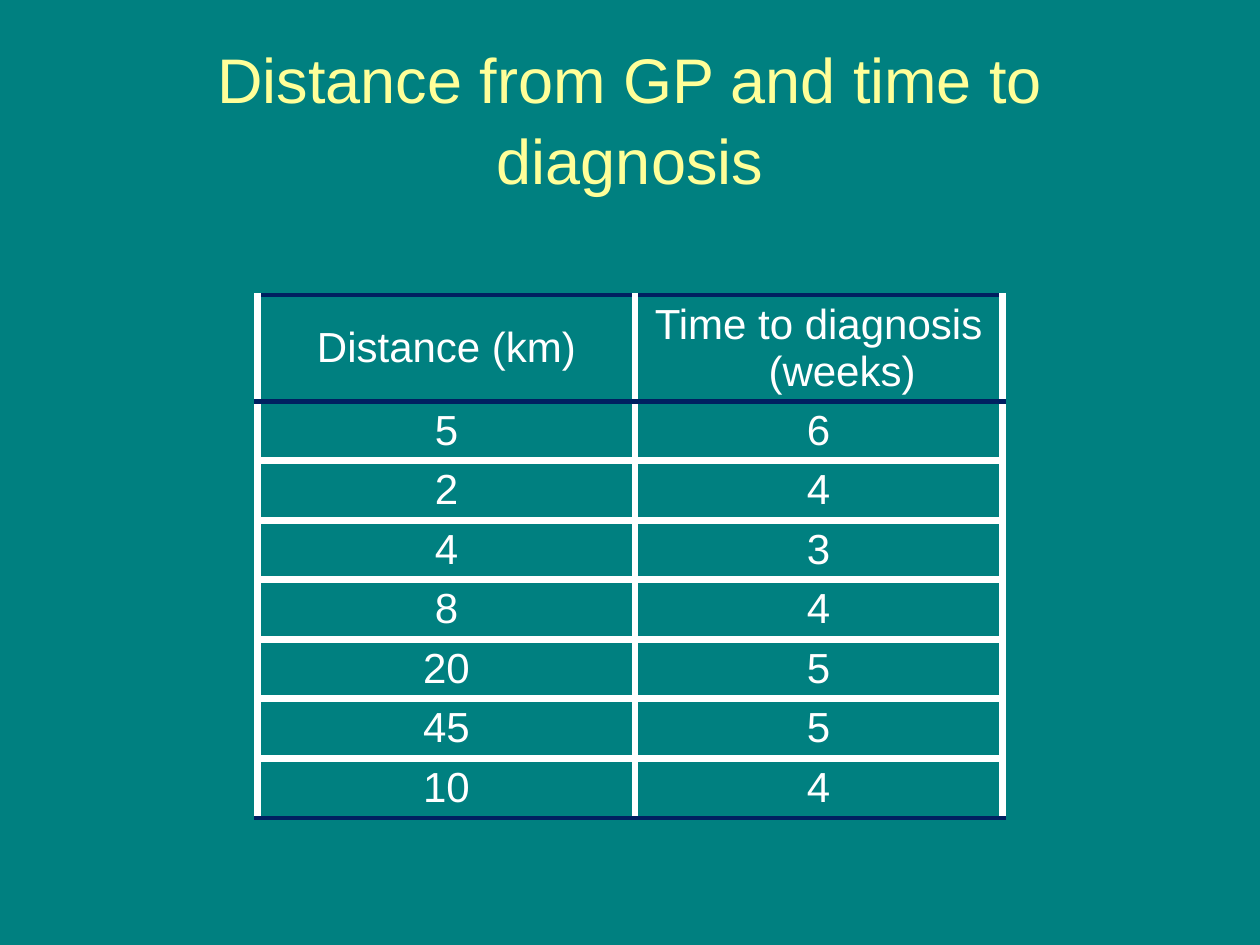
from lxml.etree import SubElement
from pptx import Presentation
from pptx.dml.color import RGBColor
from pptx.enum.text import MSO_ANCHOR, MSO_AUTO_SIZE, PP_ALIGN
from pptx.oxml.ns import qn
from pptx.util import Cm, Pt

COLORS = {"back": "008080", "title": "FFFF99", "text": "FFFFFF",
          "grid": "FFFFFF", "rule": "002060"}
ROWS = [("Distance (km)", "Time to diagnosis (weeks)"),
        ("5", "6"), ("2", "4"), ("4", "3"), ("8", "4"),
        ("20", "5"), ("45", "5"), ("10", "4")]
GRID, RULE = ("grid", 4.48), ("rule", 3)


def color(name):
    return RGBColor.from_string(COLORS[name])


def style(para, size, name):
    para.alignment = PP_ALIGN.CENTER
    for run in para.runs:
        run.font.name = "Arial"
        run.font.size = Pt(size)
        run.font.color.rgb = color(name)


def add_title(slide, text):
    title = slide.shapes.title
    title.left, title.top = Cm(1.27), Cm(0.76)
    title.width, title.height = Cm(22.86), Cm(3.18)
    frame = title.text_frame
    frame.text = text
    frame.auto_size = MSO_AUTO_SIZE.NONE
    frame.vertical_anchor = MSO_ANCHOR.MIDDLE
    para = frame.paragraphs[0]
    para.line_spacing = 1.06
    style(para, 36, "title")


def add_edge(cell, side, kind):
    name, width = kind
    line = SubElement(cell._tc.get_or_add_tcPr(), qn("a:ln" + side),
                      w=str(Pt(width)))
    fill = SubElement(line, qn("a:solidFill"))
    SubElement(fill, qn("a:srgbClr"), val=COLORS[name])


def fill_cell(cell, text, row):
    last = len(ROWS) - 1
    edges = {"L": GRID, "R": GRID,
             "T": RULE if row in (0, 1) else GRID,
             "B": RULE if row in (0, last) else GRID}
    for side, kind in edges.items():
        add_edge(cell, side, kind)
    cell.fill.background()
    cell.margin_top = cell.margin_bottom = Cm(0.12)
    cell.vertical_anchor = MSO_ANCHOR.TOP if row else MSO_ANCHOR.MIDDLE
    cell.text_frame.text = text
    para = cell.text_frame.paragraphs[0]
    # Hanging indent
    props = para._p.get_or_add_pPr()
    props.set("marL", str(Cm(0.95)))
    props.set("indent", str(Cm(-0.95)))
    style(para, 24, "text")


def add_grid(slide):
    frame = slide.shapes.add_table(len(ROWS), 2, Cm(5.2), Cm(5.95),
                                   Cm(15), Cm(10.5))
    table = frame.table
    table.first_row = table.horz_banding = False
    for col, width in zip(table.columns, (7.6, 7.4)):
        col.width = Cm(width)
    for i, texts in enumerate(ROWS):
        table.rows[i].height = Cm(1.2 if i else 2.14)
        for j, text in enumerate(texts):
            fill_cell(table.cell(i, j), text, i)


def main():
    deck = Presentation()
    deck.slide_width, deck.slide_height = Cm(25.4), Cm(19.05)
    slide = deck.slides.add_slide(deck.slide_layouts[5])
    # Background
    fill = slide.background.fill
    fill.solid()
    fill.fore_color.rgb = color("back")
    # Content
    add_title(slide, "Distance from GP and time to diagnosis")
    add_grid(slide)
    deck.save("out.pptx")


if __name__ == "__main__":
    main()
